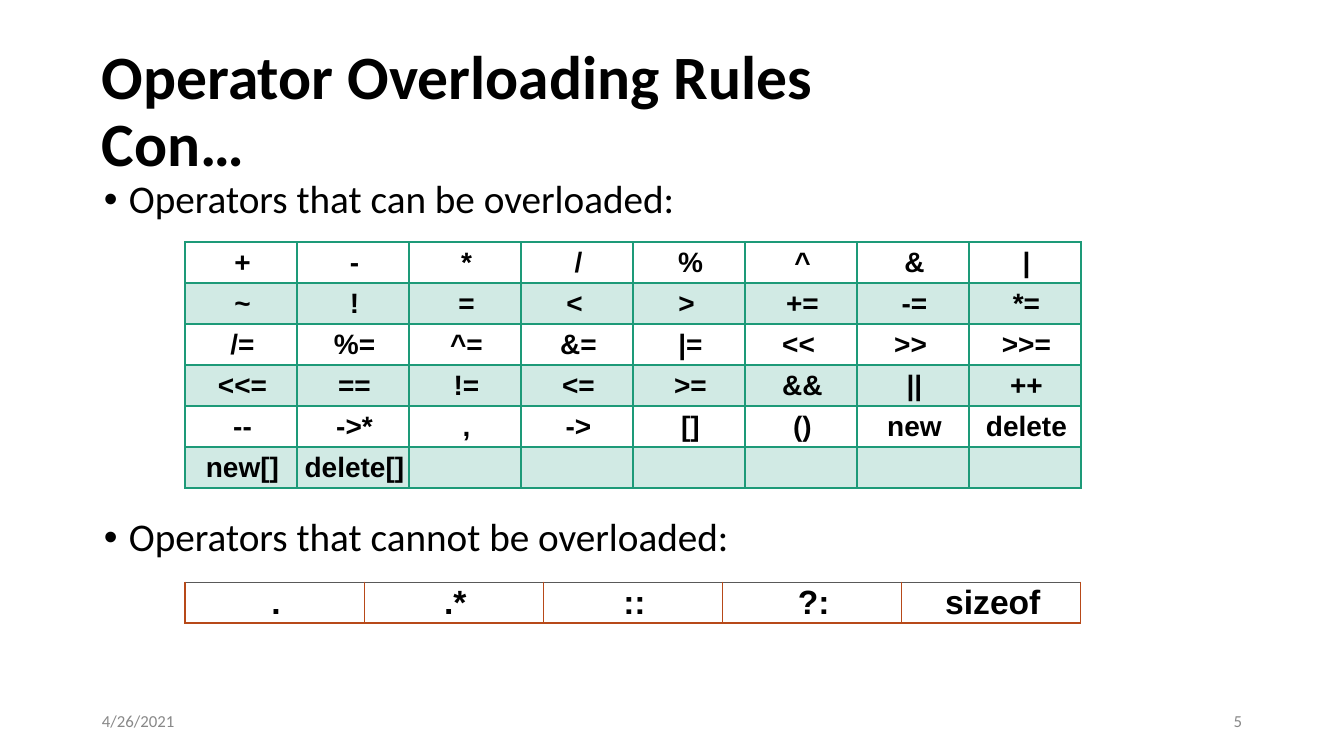
from dataclasses import dataclass

from lxml import etree
from pptx import Presentation
from pptx import util as u
from pptx.dml.color import RGBColor
from pptx.enum import text
from pptx.oxml import ns

EMU_PER_PX = 914400 / 100.8
BLACK = RGBColor(0x00, 0x00, 0x00)
GREY = RGBColor(0x88, 0x88, 0x88)
DARK_GREY = RGBColor(0x59, 0x59, 0x59)
GREEN = RGBColor(0x1D, 0x9A, 0x78)
ORANGE = RGBColor(0xB7, 0x49, 0x19)
LEFT, CENTER, RIGHT = text.PP_ALIGN.LEFT, text.PP_ALIGN.CENTER, text.PP_ALIGN.RIGHT
TOP, MIDDLE = text.MSO_ANCHOR.TOP, text.MSO_ANCHOR.MIDDLE


def px(length: int) -> u.Emu:
    return u.Emu(round(length * EMU_PER_PX))


@dataclass
class Label:
    lines: list[str]
    left: int
    top: int
    width: int
    height: int
    size: int
    color: RGBColor = BLACK
    bold: bool = False
    align: text.PP_ALIGN = LEFT
    anchor: text.MSO_ANCHOR = MIDDLE
    line_spacing: float = 1.0
    gap: int = 0
    bulleted: bool = False


@dataclass
class Border:
    color: RGBColor
    width: float


@dataclass
class OperatorGrid:
    rows: list[tuple[str, ...]]
    top: int
    size: int
    sides: dict[str, Border]
    header_bottom: Border
    band: RGBColor | None = None


GRID_LEFT, GRID_WIDTH, ROW_HEIGHT = 185, 896, 41

LABELS = [
    Label(["Operator Overloading Rules\vCon…"], 92, 40, 1160, 146, 44, bold=True,
          line_spacing=0.9),
    Label(["Operators that can be overloaded:", "Operators that cannot be overloaded:"],
          94, 175, 1160, 480, 28, anchor=TOP, line_spacing=0.9, gap=211, bulleted=True),
    Label(["4/26/2021"], 92, 701, 302, 40, 12, GREY),
    Label(["5"], 950, 701, 302, 40, 12, GREY, align=RIGHT),
]

GRIDS = [
    OperatorGrid(
        [
            ("+", "-", "*", "/", "%", "^", "&", "|"),
            ("~", "!", "=", "< ", "> ", "+=", "-=", "*="),
            ("/=", "%=", "^=", "&=", "|=", "<< ", ">> ", ">>="),
            ("<<=", "==", "!=", "<=", ">=", "&&", "||", "++"),
            ("--", "->*", ",", "->", "[]", "()", "new", "delete"),
            ("new[]", "delete[]", "", "", "", "", "", ""),
        ],
        242, 20, {side: Border(GREEN, 1) for side in "LRTB"}, Border(GREEN, 2), GREEN),
    OperatorGrid(
        [(".", ".*", "::", "?:", "sizeof")],
        582, 24,
        {"L": Border(ORANGE, 1), "R": Border(ORANGE, 1), "T": Border(DARK_GREY, 0.5)},
        Border(ORANGE, 2)),
]


def apply(target, values: dict) -> None:
    for name, value in values.items():
        setattr(target, name, value)


def style_span(span, size: int, font: str, color: RGBColor, bold: bool) -> None:
    apply(span.font, {"name": font, "size": u.Pt(size), "bold": bold})
    span.font.color.rgb = color


def add_bullet(para) -> None:
    props = para._p.get_or_add_pPr()
    props.set("marL", str(px(25)))
    props.set("indent", str(-px(25)))
    etree.SubElement(props, ns.qn("a:buFont")).set("typeface", "Arial")
    etree.SubElement(props, ns.qn("a:buChar")).set("char", "•")


def add_label(page, label: Label) -> None:
    box = page.shapes.add_textbox(*map(px, (label.left, label.top, label.width, label.height)))
    frame = box.text_frame
    apply(frame, {"word_wrap": True, "vertical_anchor": label.anchor})
    for index, line in enumerate(label.lines):
        para = frame.add_paragraph() if index else frame.paragraphs[0]
        para.text = line
        if label.bulleted:
            add_bullet(para)
        apply(para, {"alignment": label.align, "line_spacing": label.line_spacing})
        if index:
            para.space_before = u.Pt(label.gap)
        for span in para.runs:
            style_span(span, label.size, "Calibri", label.color, label.bold)


def add_borders(cell, borders: dict[str, Border]) -> None:
    """Add the border lines in schema order; call this before the cell is filled."""
    props = cell._tc.get_or_add_tcPr()
    for side in "LRTB":
        border = borders[side]
        line = etree.SubElement(props, ns.qn(f"a:ln{side}"), w=str(u.Pt(border.width)))
        fill = etree.SubElement(line, ns.qn("a:solidFill"))
        etree.SubElement(fill, ns.qn("a:srgbClr"), val=str(border.color))


def fill_cell(cell, band: RGBColor | None) -> None:
    """Fill the cell with a 20 % tint of the band colour, or leave it clear."""
    if band is None:
        cell.fill.background()
        return
    cell.fill.solid()
    cell.fill.fore_color.rgb = band
    color = cell._tc.tcPr.find(ns.qn("a:solidFill")).find(ns.qn("a:srgbClr"))
    etree.SubElement(color, ns.qn("a:alpha"), val="20000")


def add_grid(page, grid: OperatorGrid) -> None:
    row_count, column_count = len(grid.rows), len(grid.rows[0])
    table = page.shapes.add_table(
        row_count, column_count, px(GRID_LEFT), px(grid.top),
        px(GRID_WIDTH), px(ROW_HEIGHT * row_count)).table
    apply(table, {"first_row": False, "horz_banding": False})
    for row_index, operators in enumerate(grid.rows):
        table.rows[row_index].height = px(ROW_HEIGHT)
        for column_index, operator in enumerate(operators):
            cell = table.cell(row_index, column_index)
            apply(cell, {"margin_left": 0, "margin_right": 0, "margin_top": 0,
                         "margin_bottom": 0, "vertical_anchor": MIDDLE})
            borders = dict(grid.sides)
            if row_index == 0:
                borders["B"] = grid.header_bottom
            elif row_index == 1:
                borders["T"] = grid.header_bottom
            add_borders(cell, borders)
            fill_cell(cell, grid.band if row_index % 2 else None)
            para = cell.text_frame.paragraphs[0]
            para.alignment = CENTER
            para._p.get_or_add_pPr().set("marL", str(px(3)))
            if operator:
                span = para.add_run()
                span.text = operator
                style_span(span, grid.size, "Arial", BLACK, True)


def main() -> None:
    deck = Presentation()
    apply(deck, {"slide_width": px(1344), "slide_height": px(756)})
    page = deck.slides.add_slide(deck.slide_layouts[6])
    for label in LABELS:
        add_label(page, label)
    for grid in GRIDS:
        add_grid(page, grid)
    deck.save("out.pptx")


if __name__ == "__main__":
    main()
